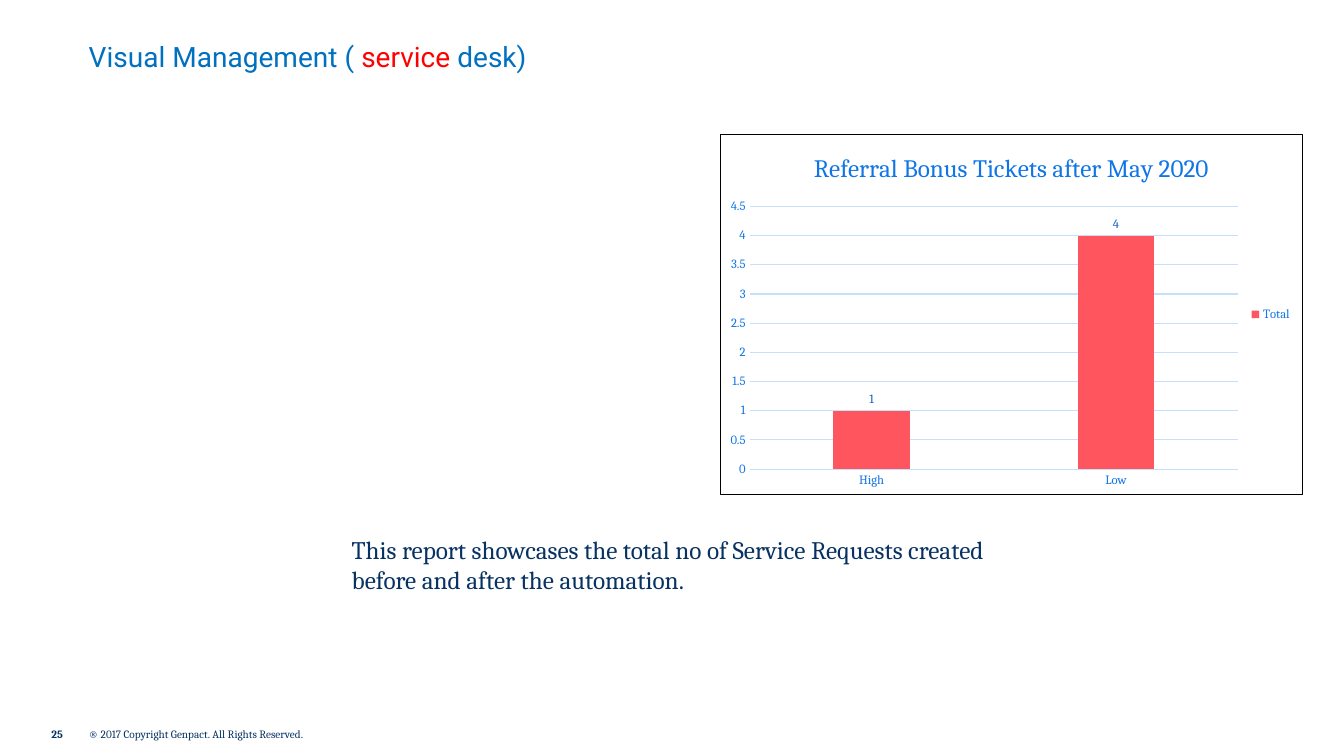
from dataclasses import dataclass

from lxml import etree
from pptx import Presentation
from pptx.chart.data import CategoryChartData
from pptx.dml.color import RGBColor
from pptx.enum.chart import XL_CHART_TYPE, XL_LABEL_POSITION, XL_LEGEND_POSITION, XL_TICK_MARK
from pptx.enum.text import MSO_ANCHOR
from pptx.oxml import parse_xml
from pptx.oxml.ns import nsdecls, qn
from pptx.util import Inches, Pt


@dataclass(frozen=True)
class Theme:
    body_font: str = "Cambria"
    title_font: str = "Roboto"
    navy: str = "073262"
    title_blue: str = "0070C0"
    red: str = "FF0000"
    chart_blue: str = "1075E6"
    label_blue: str = "0E62C0"
    grid: str = "C6DFFB"
    bar: str = "FF555F"
    border: str = "000000"
    title_size: int = 20
    body_size: int = 18
    chart_size: int = 9
    footer_size: int = 8


@dataclass(frozen=True)
class TextItem:
    text: str
    box: tuple[float, float, float, float]
    size: int
    bold: bool = False
    footer: bool = False


THEME = Theme()
TEXTS = [
    TextItem("25", (0.51, 7.16, 0.3, 0.24), THEME.footer_size, bold=True, footer=True),
    TextItem("® 2017 Copyright Genpact. All Rights Reserved.", (0.88, 7.16, 2.58, 0.24),
             THEME.footer_size, footer=True),
    TextItem("This report showcases the total no of Service Requests created "
             "before and after the automation.", (3.39, 5.25, 6.67, 0.71), THEME.body_size),
]
TITLE_RUNS = [("Visual Management ( ", THEME.title_blue), ("service", THEME.red),
              (" desk)", THEME.title_blue)]


def set_font(font, size: int, color: str, name: str = THEME.body_font, bold: bool = False) -> None:
    font.size, font.name, font.bold = Pt(size), name, bold
    font.color.rgb = RGBColor.from_string(color)


def clear_margins(tf) -> None:
    tf.margin_left = tf.margin_right = tf.margin_top = tf.margin_bottom = 0


def set_line(line, color: str) -> None:
    line.color.rgb = RGBColor.from_string(color)
    line.width = Pt(0.75)


def add_title(s) -> None:
    sp = s.shapes.title
    sp.left, sp.top, sp.width, sp.height = map(Inches, (0.88, 0.39, 12.44, 0.34))
    tf = sp.text_frame
    clear_margins(tf)
    tf.word_wrap, tf.vertical_anchor = True, MSO_ANCHOR.TOP
    p = tf.paragraphs[0]
    p.alignment = 1
    for text, color in TITLE_RUNS:
        r = p.add_run()
        r.text = text
        set_font(r.font, THEME.title_size, color, THEME.title_font)


def add_text(s, item: TextItem) -> None:
    tf = s.shapes.add_textbox(*map(Inches, item.box)).text_frame
    tf.word_wrap = True
    if item.footer:
        clear_margins(tf)
        tf.vertical_anchor = MSO_ANCHOR.MIDDLE
    p = tf.paragraphs[0]
    p.text = item.text
    set_font(p.font, item.size, THEME.navy, bold=item.bold)


def add_ticket_chart(s) -> None:
    data = CategoryChartData()
    data.categories = ["High", "Low"]
    data.add_series("Total", [1, 4])
    box = map(Inches, (7.14, 1.33, 5.78, 3.58))
    chart = s.shapes.add_chart(XL_CHART_TYPE.COLUMN_CLUSTERED, *box, data).chart
    set_font(chart.font, 10, THEME.navy)

    # Title and legend
    p = chart.chart_title.text_frame.paragraphs[0]
    p.text = "Referral Bonus Tickets after May 2020"
    set_font(p.font, THEME.body_size, THEME.chart_blue)
    chart.has_legend = True
    chart.legend.position = XL_LEGEND_POSITION.RIGHT
    chart.legend.include_in_layout = False
    set_font(chart.legend.font, THEME.chart_size, THEME.chart_blue)

    # Axes
    cat, val = chart.category_axis, chart.value_axis
    for axis in (cat, val):
        axis.major_tick_mark = axis.minor_tick_mark = XL_TICK_MARK.NONE
        set_font(axis.tick_labels.font, THEME.chart_size, THEME.chart_blue)
    set_line(cat.format.line, THEME.grid)
    val.format.line.fill.background()
    val.minimum_scale, val.maximum_scale, val.major_unit = 0, 4.5, 0.5
    set_line(val.major_gridlines.format.line, THEME.grid)

    # Bars and value labels
    plot = chart.plots[0]
    plot.gap_width, plot.overlap, plot.vary_by_categories = 219, -27, False
    series = plot.series[0]
    series.format.fill.solid()
    series.format.fill.fore_color.rgb = RGBColor.from_string(THEME.bar)
    labels = series.data_labels
    labels.show_value, labels.position = True, XL_LABEL_POSITION.OUTSIDE_END
    set_font(labels.font, THEME.chart_size, THEME.label_blue)

    # Plot area placement and chart border
    space = chart.element
    area = space.chart.plotArea
    for old in area.findall(qn("c:layout")):
        area.remove(old)
    layout = parse_xml(f"<c:layout {nsdecls('c')}><c:manualLayout/></c:layout>")
    settings = {"layoutTarget": "inner", "xMode": "edge", "yMode": "edge",
                "x": 0.05, "y": 0.2, "w": 0.84, "h": 0.73}
    for name, value in settings.items():
        etree.SubElement(layout[0], qn(f"c:{name}")).set("val", str(value))
    area.insert(0, layout)
    space.chart.addnext(parse_xml(
        f"<c:spPr {nsdecls('c', 'a')}><a:noFill/><a:ln w='{Pt(0.75)}'><a:solidFill>"
        f"<a:srgbClr val='{THEME.border}'/></a:solidFill></a:ln></c:spPr>"))


def main() -> None:
    prs = Presentation()
    prs.slide_width, prs.slide_height = Inches(13.33), Inches(7.5)
    s = prs.slides.add_slide(prs.slide_layouts[5])
    add_title(s)
    add_ticket_chart(s)
    for item in TEXTS:
        add_text(s, item)
    prs.save("out.pptx")


if __name__ == "__main__":
    main()
